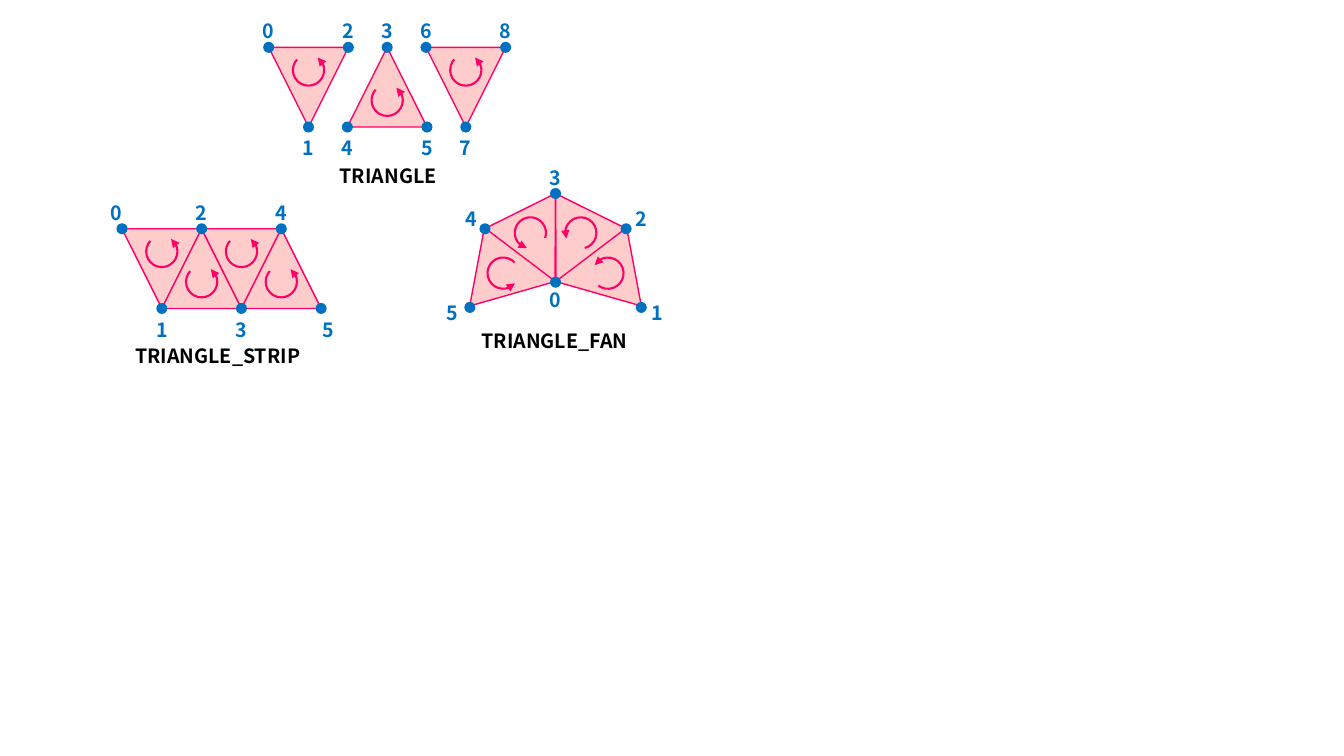
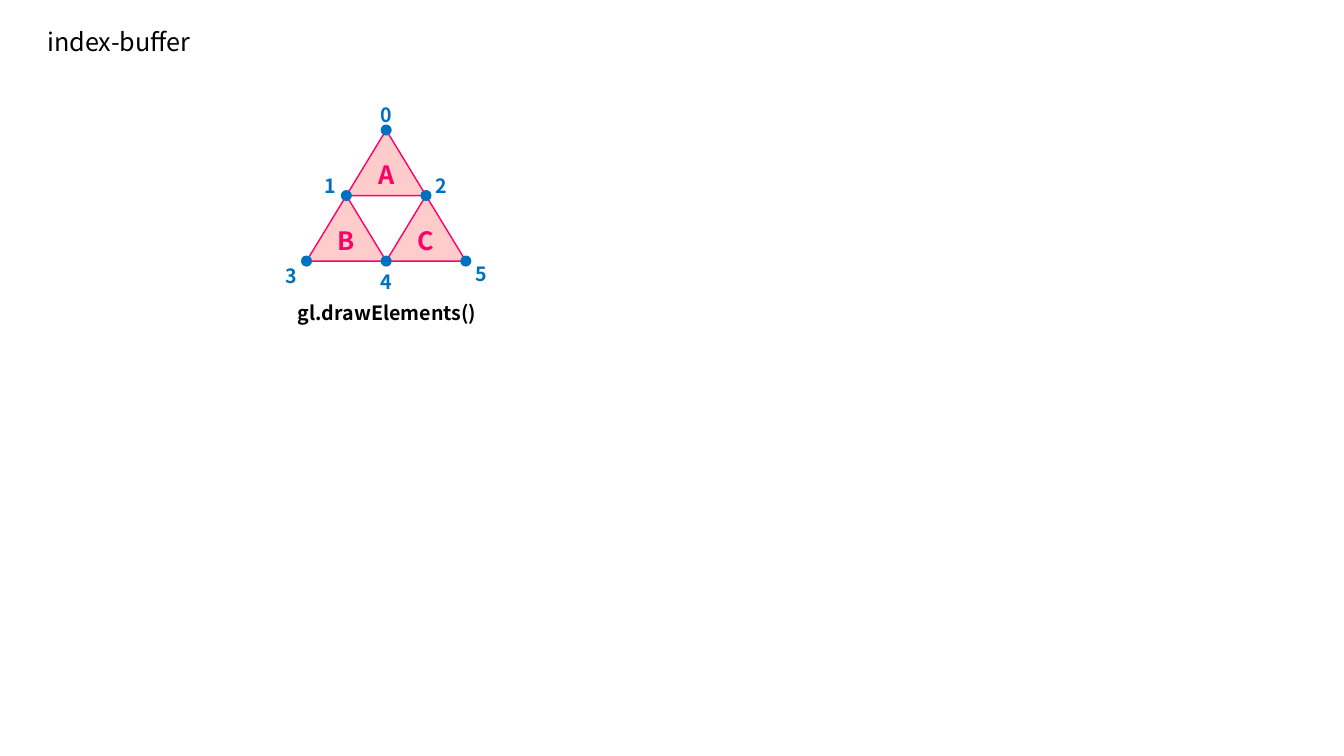
from dataclasses import dataclass

from lxml import etree
from pptx import Presentation
from pptx.dml.color import RGBColor
from pptx.enum.shapes import MSO_SHAPE
from pptx.enum.text import MSO_ANCHOR, PP_ALIGN
from pptx.oxml.ns import qn
from pptx.util import Inches, Pt

TRIANGLE = MSO_SHAPE.ISOSCELES_TRIANGLE
ARC = MSO_SHAPE.ARC
DOT = MSO_SHAPE.OVAL
CENTER = PP_ALIGN.CENTER
LEFT = PP_ALIGN.LEFT
TOP = MSO_ANCHOR.TOP


@dataclass(frozen=True)
class Theme:
    font: str = "Noto Sans CJK JP"
    text: RGBColor = RGBColor.from_string("000000")
    vertex: RGBColor = RGBColor.from_string("0070C0")
    edge: RGBColor = RGBColor.from_string("FF0066")
    face: RGBColor = RGBColor.from_string("FFCCCC")
    label_size: int = 14
    title_size: int = 18
    edge_width: float = 1
    arc_width: float = 1.5


THEME = Theme()
SLIDE_SIZE = (13.33, 7.5)
SIDE = 0.79
HALF = SIDE / 2
ROW = 0.65
ARC_SIZE = 0.31
DOT_SIZE = 0.11
ARC_ANGLES = (183.78, 133.71)
LABEL_ABOVE = -0.16
LABEL_BELOW = 0.21
ARC_SHIFT = 0.15


def face(x, y, turn=0, height=SIDE, name=None):
    return {"x": x, "y": y, "turn": turn, "height": height, "name": name}


def upright(x, y, points_down):
    shift = -ARC_SHIFT if points_down else ARC_SHIFT
    return face(x, y, 180 if points_down else 0), (x, y + shift - 0.02, 0)


def separate_figure():
    left, top, step = 3.06, 0.47, 0.78
    pairs = [upright(left + step * i, top + HALF, i % 2 == 0) for i in range(3)]
    vertices = []
    for i in range(3):
        x = left + step * i
        ends = ((-HALF, 0), (0, SIDE), (HALF, 0)) if i % 2 == 0 else ((0, 0), (-HALF, SIDE), (HALF, SIDE))
        for dx, dy in ends:
            vertices.append((x + dx, top + dy, 0, LABEL_BELOW if dy else LABEL_ABOVE))
    return {"caption": ("TRIANGLE", 3.85, 1.75), "faces": [p[0] for p in pairs],
            "arcs": [p[1] for p in pairs], "vertices": vertices}


def strip_figure():
    left, top = 1.21, 2.27
    pairs = [upright(left + HALF * (i + 1), top + HALF, i % 2 == 0) for i in range(4)]
    shifts = (-0.06, 0, 0, 0, 0, 0.07)
    vertices = [(left + HALF * i, top + SIDE * (i % 2), shift, LABEL_BELOW if i % 2 else LABEL_ABOVE)
                for i, shift in enumerate(shifts)]
    return {"caption": ("TRIANGLE_STRIP", 2.16, 3.53), "faces": [p[0] for p in pairs],
            "arcs": [p[1] for p in pairs], "vertices": vertices}


def fan_figure():
    axis = 5.51
    half_faces = [(0.18, 2.45, 206.4), (0.39, 2.72, 259.4)]
    faces = [face(axis + side * dx, y, side * turn % 360)
             for side in (1, -1) for dx, y, turn in half_faces]
    arcs = [(axis + 0.52, 2.71, 265), (axis + 0.25, 2.31, 212.3),
            (axis - 0.52, 2.71, 94.3), (axis - 0.25, 2.31, 156.4)]
    vertices = [(axis, 2.8, 0, 0.18), (axis + 0.85, 3.05, 0.16, 0.06), (axis + 0.7, 2.27, 0.15, -0.1),
                (axis, 1.92, 0, -0.15), (axis - 0.7, 2.27, -0.14, -0.1), (axis - 0.85, 3.05, -0.17, 0.06)]
    return {"caption": ("TRIANGLE_FAN", 5.5, 3.38), "faces": faces, "arcs": arcs, "vertices": vertices}


def indexed_figure():
    apex_x, apex_y = 3.83, 1.29
    faces = [face(apex_x + column * HALF, apex_y + ROW * (row + 0.5), 0, ROW, name)
             for name, column, row in (("A", 0, 0), ("B", -1, 1), ("C", 1, 1))]
    label_shifts = ((0, -0.15), (-0.16, -0.09), (0.15, -0.09), (-0.15, 0.15), (0, 0.21), (0.15, 0.13))
    cells = [(row, 2 * k - row) for row in range(3) for k in range(row + 1)]
    vertices = [(apex_x + column * HALF, apex_y + row * ROW, dx, dy)
                for (row, column), (dx, dy) in zip(cells, label_shifts)]
    return {"caption": ("gl.drawElements()", 3.84, 3.11), "faces": faces, "arcs": [], "vertices": vertices}


PAGES = [
    {"title": None, "figures": [strip_figure(), fan_figure(), separate_figure()]},
    {"title": "index-buffer", "figures": [indexed_figure()]},
]


def add_text(shapes, text, *, x, y, width, height=0.34, size=THEME.label_size,
             color=THEME.text, bold=True, align=CENTER):
    left = x - width / 2 if align == CENTER else x
    box = shapes.add_textbox(Inches(left), Inches(y - height / 2), Inches(width), Inches(height))
    frame = box.text_frame
    frame.word_wrap = True
    frame.vertical_anchor = TOP
    para = frame.paragraphs[0]
    para.alignment = align
    span = para.add_run()
    span.text = text
    span.font.name = THEME.font
    span.font.size = Pt(size)
    span.font.bold = bold
    span.font.color.rgb = color


def add_mark(shapes, kind, *, x, y, width, height, turn=0, fill=None, line_width=None):
    mark = shapes.add_shape(kind, Inches(x - width / 2), Inches(y - height / 2), Inches(width), Inches(height))
    mark.shadow.inherit = False
    mark.rotation = turn
    if fill is None:
        mark.fill.background()
    else:
        mark.fill.solid()
        mark.fill.fore_color.rgb = fill
    if line_width is None:
        mark.line.fill.background()
    else:
        mark.line.color.rgb = THEME.edge
        mark.line.width = Pt(line_width)
    return mark


def add_arc(shapes, x, y, turn):
    arc = add_mark(shapes, ARC, x=x, y=y, width=ARC_SIZE, height=ARC_SIZE, turn=turn, line_width=THEME.arc_width)
    for i, angle in enumerate(ARC_ANGLES):
        arc.adjustments[i] = angle
    etree.SubElement(arc.line._get_or_add_ln(), qn("a:headEnd"), type="triangle")


def add_figure(page, figure):
    shapes = page.shapes.add_group_shape().shapes
    for item in figure["faces"]:
        add_mark(shapes, TRIANGLE, x=item["x"], y=item["y"], width=SIDE, height=item["height"],
                 turn=item["turn"], fill=THEME.face, line_width=THEME.edge_width)
    for arc in figure["arcs"]:
        add_arc(shapes, *arc)
    for number, (x, y, dx, dy) in enumerate(figure["vertices"]):
        add_mark(shapes, DOT, x=x, y=y, width=DOT_SIZE, height=DOT_SIZE, fill=THEME.vertex)
        add_text(shapes, str(number), x=x + dx, y=y + dy, width=0.4, color=THEME.vertex)
    for item in figure["faces"]:
        if item["name"]:
            add_text(shapes, item["name"], x=item["x"], y=item["y"] + 0.12, width=0.4, height=0.4,
                     size=THEME.title_size, color=THEME.edge)
    caption, x, y = figure["caption"]
    add_text(shapes, caption, x=x, y=y, width=2.2)


def main():
    deck = Presentation()
    deck.slide_width, deck.slide_height = map(Inches, SLIDE_SIZE)
    for content in PAGES:
        page = deck.slides.add_slide(deck.slide_layouts[6])
        if content["title"]:
            add_text(page.shapes, content["title"], x=0.37, y=0.41, width=3.39, height=0.4,
                     size=THEME.title_size, bold=False, align=LEFT)
        for figure in content["figures"]:
            add_figure(page, figure)
    deck.save("out.pptx")


if __name__ == "__main__":
    main()
